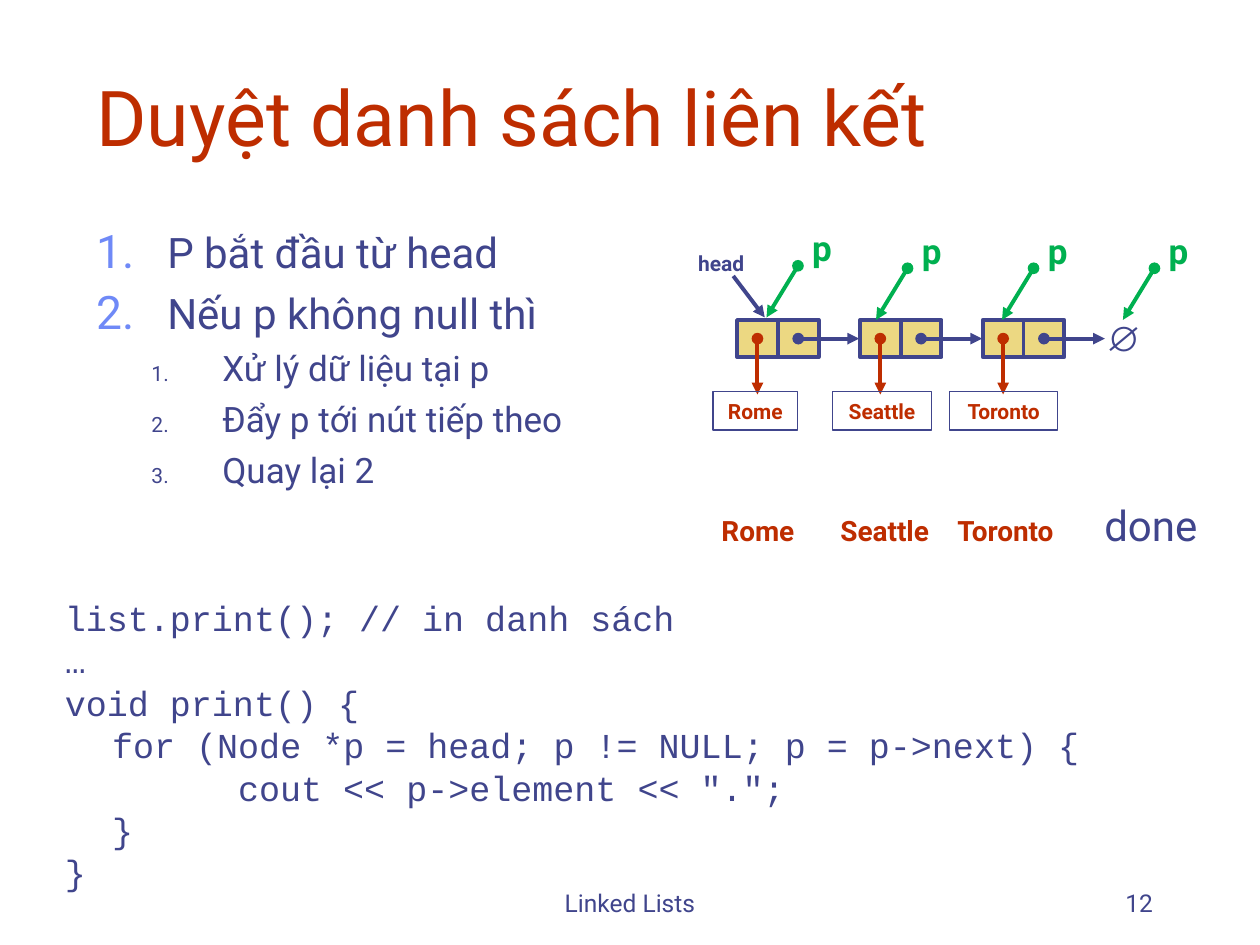
from lxml import etree
from pptx import Presentation
from pptx.dml.color import RGBColor
from pptx.enum import shapes, text
from pptx.oxml import ns
from pptx.util import Pt

COLORS = {"red": "BE2D00", "navy": "40458C", "periwinkle": "6F89F7",
          "yellow": "ECD882", "green": "00B050"}
LEFT, CENTER, RIGHT = text.PP_ALIGN.LEFT, text.PP_ALIGN.CENTER, text.PP_ALIGN.RIGHT

deck = Presentation()
deck.slide_width, deck.slide_height = Pt(720), Pt(540)
slide = deck.slides.add_slide(deck.slide_layouts[6])


def add_text(lines, left, top, width, height, size, color="navy", bold=False,
             align=LEFT, anchor=text.MSO_ANCHOR.TOP, font="Roboto", wrap=True):
    box = slide.shapes.add_textbox(Pt(left), Pt(top), Pt(width), Pt(height))
    frame = box.text_frame
    frame.text = lines
    frame.word_wrap = wrap
    frame.vertical_anchor = anchor
    for para in frame.paragraphs:
        para.alignment = align
        for span in para.runs:
            span.font.name = font
            span.font.size = Pt(size)
            span.font.bold = bold
            span.font.color.rgb = RGBColor.from_string(COLORS[color])
    return box


def add_arrow(x1, y1, x2, y2, color, dot=True):
    """Draw an arrow that starts, unless dot is False, with a round dot."""
    arrow = slide.shapes.add_connector(shapes.MSO_CONNECTOR.STRAIGHT,
                                       Pt(x1), Pt(y1), Pt(x2), Pt(y2))
    arrow.line.width = Pt(2.25)
    arrow.line.color.rgb = RGBColor.from_string(COLORS[color])
    line = arrow.line._get_or_add_ln()
    if dot:
        etree.SubElement(line, ns.qn("a:headEnd"), type="oval")
    etree.SubElement(line, ns.qn("a:tailEnd"), type="triangle")
    etree.SubElement(arrow._element.spPr, ns.qn("a:effectLst"))


# Title and footer
BOTTOM = text.MSO_ANCHOR.BOTTOM
add_text("Duyệt danh sách liên kết", 48, 24, 630, 72, 44, "red", anchor=BOTTOM)
add_text("Linked Lists", 246, 492, 228, 36, 14, align=CENTER, anchor=BOTTOM)
add_text("12", 516, 492, 150, 36, 14, align=RIGHT, anchor=BOTTOM)

# Numbered steps, with the last three one level down
steps = add_text("P bắt đầu từ head\nNếu p không null thì\nXử lý dữ liệu tại p\n"
                 "Đẩy p tới nút tiếp theo\nQuay lại 2", 48, 126, 309, 168, 24)
for index, para in enumerate(steps.text_frame.paragraphs):
    nested = index >= 2
    para.level = int(nested)
    para.space_before = Pt(5 if nested else 6)
    para.runs[0].font.size = Pt(20 if nested else 24)
    props = para._p.get_or_add_pPr()
    props.set("marL", str(Pt(72 if nested else 40.5)))
    props.set("indent", str(Pt(-40.5)))
    bullet_color = etree.SubElement(props, ns.qn("a:buClr"))
    etree.SubElement(bullet_color, ns.qn("a:srgbClr"),
                     val=COLORS["navy" if nested else "periwinkle"])
    etree.SubElement(props, ns.qn("a:buSzPct"), val="60000" if nested else "110000")
    etree.SubElement(props, ns.qn("a:buAutoNum"), type="arabicPeriod")

# Linked list: two cells per node, an arrow to the next node and one to its city
FIRST_NODE, NODE_PITCH = 421.2, 70.2
CELL_WIDTH, CELL_HEIGHT, CELL_TOP = 23.3, 21.2, 182.9
MIDDLE = CELL_TOP + CELL_HEIGHT / 2
cities = [  # name, label left and width, printed word left and width
    ("Rome", 407.5, 48.2, 403.2, 59.8),
    ("Seattle", 475.9, 56.2, 470.2, 70.6),
    ("Toronto", 542.6, 61.9, 535.7, 77.8),
]
for index, (city, label_left, label_width, word_left, word_width) in enumerate(cities):
    node_left = FIRST_NODE + index * NODE_PITCH
    for cell_left in (node_left, node_left + CELL_WIDTH):
        cell = slide.shapes.add_shape(shapes.MSO_SHAPE.RECTANGLE, Pt(cell_left),
                                      Pt(CELL_TOP), Pt(CELL_WIDTH), Pt(CELL_HEIGHT))
        cell.shadow.inherit = False
        cell.fill.solid()
        cell.fill.fore_color.rgb = RGBColor.from_string(COLORS["yellow"])
        cell.line.color.rgb = RGBColor.from_string(COLORS["navy"])
        cell.line.width = Pt(2.25)
    add_arrow(node_left + 1.5 * CELL_WIDTH, MIDDLE,
              node_left + NODE_PITCH - 0.4, MIDDLE, "navy")
    add_arrow(node_left + CELL_WIDTH / 2, MIDDLE,
              node_left + CELL_WIDTH / 2, 225.4, "red")
    label = add_text(city, label_left, 223.9, label_width, 21.8, 12, "red", True,
                     CENTER, wrap=False)
    label.line.color.rgb = RGBColor.from_string(COLORS["navy"])
    label.line.width = Pt(0.75)
    add_text(city, word_left, 290.2, word_width, 26.6, 16, "red", True, CENTER,
             wrap=False)

add_text("∅", 625, 177.1, 30.2, 31.7, 20, bold=True, align=CENTER, font="Arial",
         wrap=False)
add_text("done", 624, 282, 72, 36, 24)
add_text("head", 390.2, 139.7, 43.9, 21.8, 12, bold=True, align=CENTER, wrap=False)
add_arrow(419, 157.7, 437, 181.4, "navy", dot=False)

# Positions of the pointer p as it moves along the list
for left, top in ((456.5, 126), (519.1, 127.4), (591.1, 127.4), (660.2, 127.4)):
    add_text("p", left, top, 26.6, 31.7, 20, "green", True, CENTER, wrap=False)
    add_arrow(left - 0.5, top + 25.9, left - 18.5, top + 55.4, "green")

# Code, each line with its indent
code_lines = [
    ("list.print(); // in danh sách", 0),
    ("…", 0),
    ("void print() {", 0),
    ("for (Node *p = head; p != NULL; p = p->next) {", 27),
    ('cout << p->element << ".";', 99),
    ("}", 27),
    ("}", 0),
]
code = add_text("\n".join(line for line, _ in code_lines), 30, 342, 756, 168, 20,
                font="Courier New")
for para, (_, indent) in zip(code.text_frame.paragraphs, code_lines):
    para.line_spacing = 0.8
    para.space_before = Pt(5)
    para._p.get_or_add_pPr().set("marL", str(Pt(indent)))

deck.save("out.pptx")
